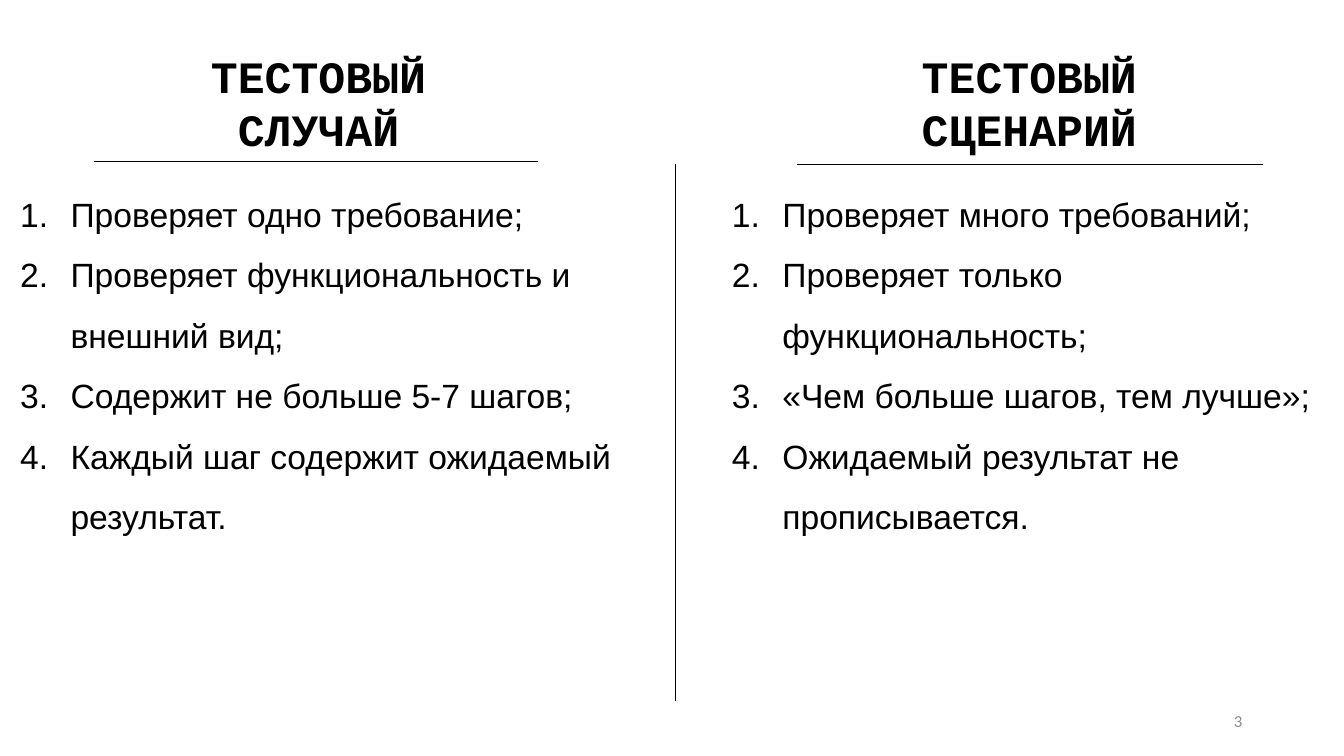
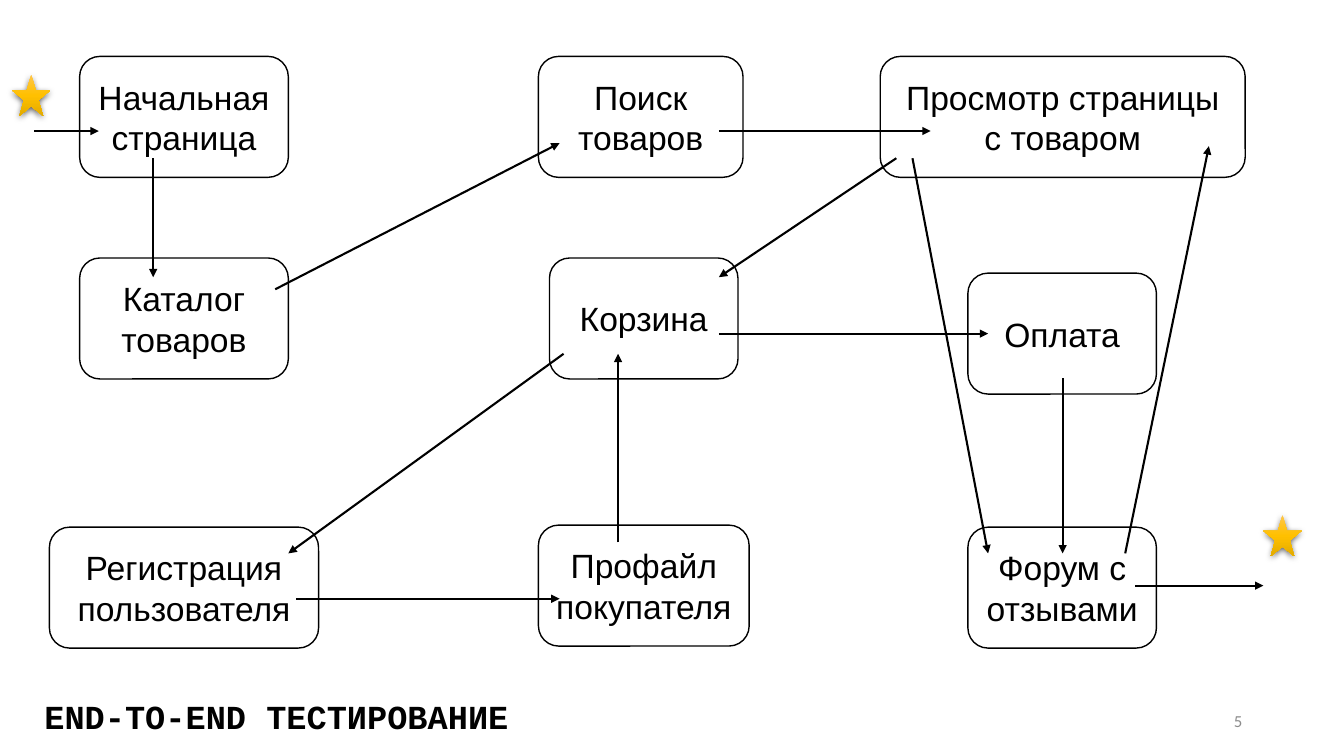
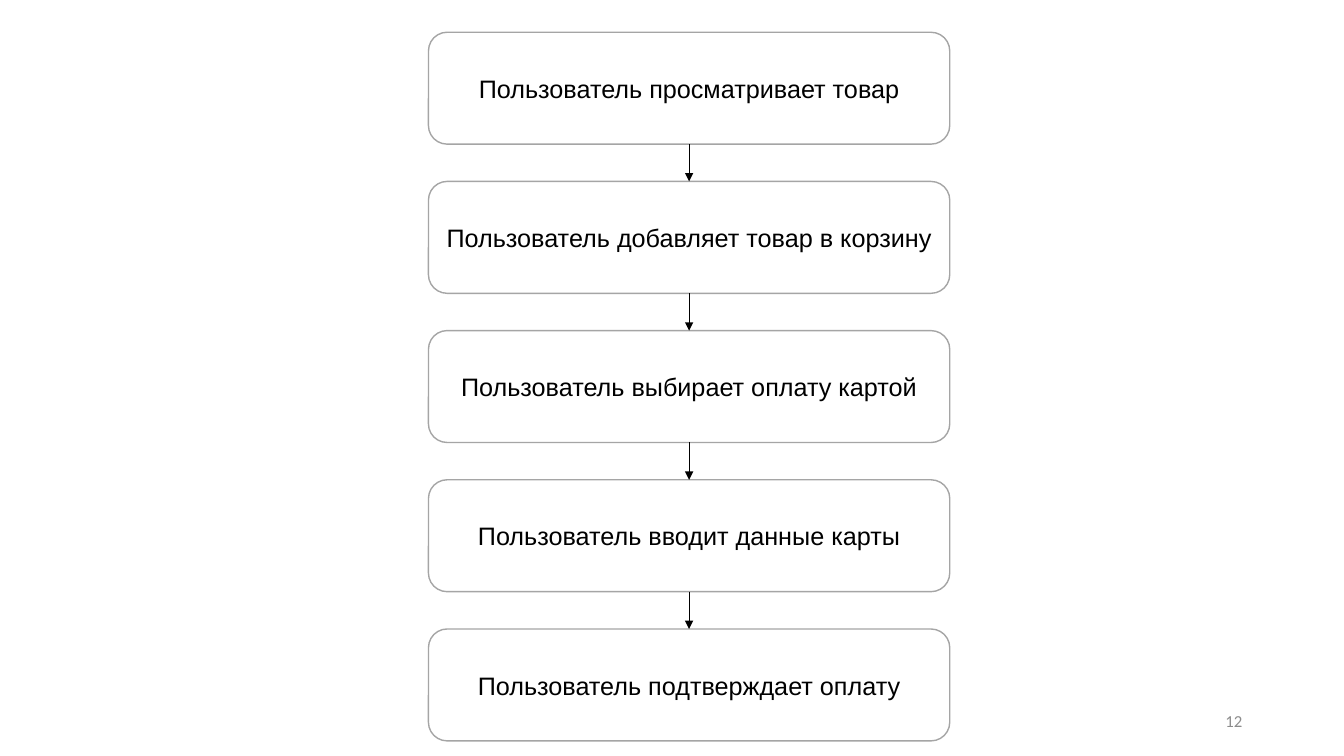
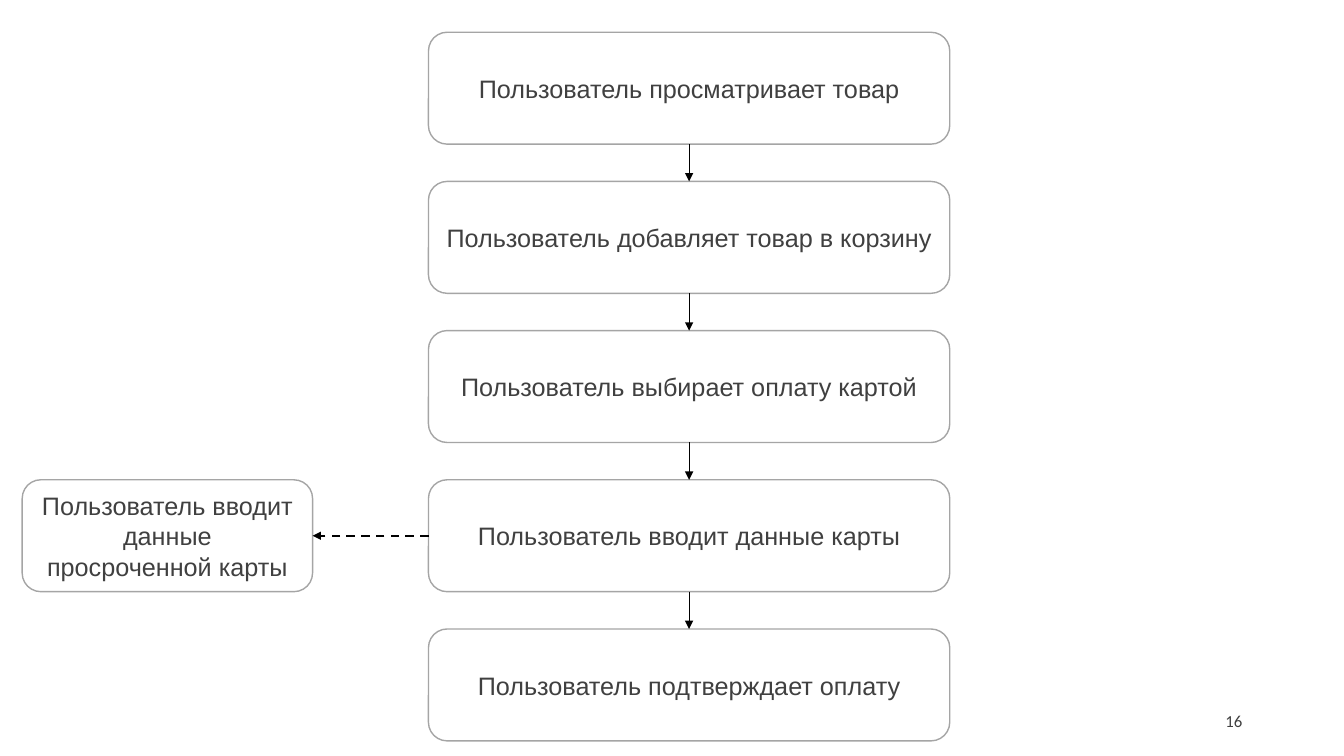
from copy import deepcopy

from lxml.etree import SubElement
from pptx import Presentation
from pptx.dml.color import RGBColor
from pptx.enum.dml import MSO_LINE
from pptx.enum.shapes import MSO_CONNECTOR as Connector, MSO_SHAPE as Shape
from pptx.enum.text import MSO_ANCHOR as Anchor, MSO_AUTO_SIZE as AutoSize, PP_ALIGN as Align
from pptx.oxml.ns import qn
from pptx.util import Inches, Pt

BLACK = RGBColor(0x00, 0x00, 0x00)
WHITE = RGBColor(0xFF, 0xFF, 0xFF)
DARK_GREY = RGBColor(0x40, 0x40, 0x40)
NUMBER_GREY = RGBColor(0x8C, 0x8C, 0x8C)
BORDER_GREY = RGBColor(0xA5, 0xA5, 0xA5)
GOLD_STOPS = (
    (0, RGBColor(0xFF, 0xC6, 0x4B)),
    (0.5, RGBColor(0xFF, 0xC0, 0x00)),
    (1, RGBColor(0xE3, 0xAB, 0x00)),
)

BODY_FONT = "Arial"
TITLE_FONT = "Courier New"
NUMBER_FONT = "Calibri"

COMPARISON, TITLE_ONLY, BLANK = 4, 5, 6
TOP, LEFT, BOTTOM, RIGHT = range(4)

STEP_LEFT, STEP_TOP, STEP_WIDTH, STEP_HEIGHT, STEP_PITCH = 4.25, 0.32, 5.17, 1.11, 1.48
NODE_HEIGHT = 1.2

CASE_TRAITS = (
    "Проверяет одно требование;",
    "Проверяет функциональность и внешний вид;",
    "Содержит не больше 5-7 шагов;",
    "Каждый шаг содержит ожидаемый результат.",
)
SCENARIO_TRAITS = (
    "Проверяет много требований;",
    "Проверяет только функциональность;",
    "«Чем больше шагов, тем лучше»;",
    "Ожидаемый результат не прописывается.",
)
SHOP_NODES = (
    ("Каталог товаров", 0.79, 2.56, 2.07),
    ("Поиск товаров", 5.34, 0.56, 2.03),
    ("Оплата", 9.6, 2.71, 1.87),
    ("Профайл покупателя", 5.34, 5.21, 2.09),
    ("Начальная страница", 0.79, 0.56, 2.07),
    ("Просмотр страницы с товаром", 8.73, 0.56, 3.62),
    ("Корзина", 5.45, 2.56, 1.87),
    ("Регистрация\nпользователя", 0.49, 5.23, 2.67),
    ("Форум с отзывами", 9.6, 5.23, 1.87),
)
SHOP_ARROWS = (
    ((0.34, 1.3), (0.98, 1.3)),
    ((1.52, 1.57), (1.52, 2.75)),
    ((2.73, 2.87), (5.55, 1.42)),
    ((7.13, 1.3), (9.23, 1.3)),
    ((9.05, 1.57), (9.8, 5.49)),
    ((11.16, 5.49), (11.99, 1.45)),
    ((8.89, 1.57), (7.13, 2.75)),
    ((5.59, 3.51), (2.86, 5.49)),
    ((2.94, 5.94), (5.55, 5.94)),
    ((6.13, 5.38), (6.13, 3.51)),
    ((7.13, 3.31), (9.8, 3.31)),
    ((10.54, 3.75), (10.54, 5.49)),
    ((11.26, 5.81), (12.53, 5.81)),
)
PAYMENT_STEPS = (
    "Пользователь просматривает товар",
    "Пользователь добавляет товар в корзину",
    "Пользователь выбирает оплату картой",
    "Пользователь вводит данные карты",
    "Пользователь подтверждает оплату",
)


def add_page(deck, layout):
    """Append a slide that uses the layout with the given index."""
    return deck.slides.add_slide(deck.slide_layouts[layout])


def place(box, left, top, width, height):
    """Move and size a placeholder, in inches."""
    box.left, box.top = Inches(left), Inches(top)
    box.width, box.height = Inches(width), Inches(height)


def style(paragraph, size, color, name=BODY_FONT, bold=False, align=Align.LEFT):
    """Set the font and alignment of one paragraph."""
    paragraph.alignment = align
    font = paragraph.font
    font.size, font.name, font.bold = Pt(size), name, bold
    font.color.rgb = color


def fill_heading(box, text, position, size, align):
    """Write a bold typewriter heading into a placeholder."""
    place(box, *position)
    frame = box.text_frame
    frame.text = text
    frame.word_wrap = False
    frame.auto_size = AutoSize.NONE
    frame.vertical_anchor = Anchor.TOP
    for paragraph in frame.paragraphs:
        paragraph.space_before = Pt(0)
        style(paragraph, size, BLACK, TITLE_FONT, True, align)


def fill_numbered_list(box, items, position):
    """Write a numbered list into a body placeholder."""
    place(box, *position)
    frame = box.text_frame
    frame.text = "\n".join(items)
    frame.auto_size = AutoSize.NONE
    for paragraph in frame.paragraphs:
        paragraph.line_spacing = 1.5
        paragraph.space_before = Pt(0)
        properties = paragraph._p.get_or_add_pPr()
        properties.set("marL", str(Inches(0.5)))
        properties.set("indent", str(Inches(-0.5)))
        SubElement(properties, qn("a:buAutoNum"), type="arabicPeriod")
        style(paragraph, 24, BLACK)


def add_page_number(page, number, color=NUMBER_GREY):
    """Add the page number at the bottom right."""
    box = page.shapes.add_textbox(Inches(9.42), Inches(6.95), Inches(3), Inches(0.4))
    frame = box.text_frame
    frame.word_wrap = True
    frame.vertical_anchor = Anchor.MIDDLE
    frame.text = str(number)
    style(frame.paragraphs[0], 12, color, NUMBER_FONT, align=Align.RIGHT)


def add_node(page, text, position, size, border, color=BLACK):
    """Add a white rounded box with centred text."""
    node = page.shapes.add_shape(Shape.ROUNDED_RECTANGLE, *map(Inches, position))
    node.shadow.inherit = False
    node.fill.solid()
    node.fill.fore_color.rgb = WHITE
    node.line.color.rgb = border
    node.line.width = Pt(1)
    frame = node.text_frame
    frame.text = text
    frame.vertical_anchor = Anchor.MIDDLE
    for paragraph in frame.paragraphs:
        style(paragraph, size, color, align=Align.CENTER)
    return node


def add_line(page, start, end, width=0.5, arrow=False, dash=None):
    """Add a straight black line between two points in inches."""
    line = page.shapes.add_connector(Connector.STRAIGHT, *map(Inches, (*start, *end)))
    line.line.color.rgb = BLACK
    line.line.width = Pt(width)
    if dash:
        line.line.dash_style = dash
    properties = line._element.spPr
    if arrow:
        SubElement(properties.find(qn("a:ln")), qn("a:tailEnd"), type="triangle")
    SubElement(properties, qn("a:effectLst"))
    return line


def join(page, source, source_side, target, target_side, width=0.5, dash=None):
    """Add an arrow joined to the sides of two boxes."""
    arrow = add_line(page, (0, 0), (1, 1), width, True, dash)
    arrow.begin_connect(source, source_side)
    arrow.end_connect(target, target_side)


def add_star(page, left, top):
    """Add a golden star with a soft shadow."""
    star = page.shapes.add_shape(
        Shape.STAR_5_POINT, Inches(left), Inches(top), Inches(0.38), Inches(0.41)
    )
    star.line.fill.background()
    star.fill.gradient()
    star.fill.gradient_angle = 270
    properties = star._element.spPr
    stops = properties.find(qn("a:gradFill")).find(qn("a:gsLst"))
    stops.insert(1, deepcopy(stops[0]))
    for stop, (position, color) in zip(star.fill.gradient_stops, GOLD_STOPS):
        stop.position = position
        stop.color.rgb = color
    star.shadow.inherit = False
    shadow = SubElement(
        properties.find(qn("a:effectLst")), qn("a:outerShdw"),
        blurRad=str(Pt(4.5)), dist=str(Pt(1.5)), dir="5400000", rotWithShape="0",
    )
    shade = SubElement(shadow, qn("a:srgbClr"), val=str(BLACK))
    SubElement(shade, qn("a:alpha"), val="63000")


def add_payment_flow(page, color):
    """Add the column of payment steps and return its boxes."""
    steps = [
        add_node(
            page, text,
            (STEP_LEFT, STEP_TOP + row * STEP_PITCH, STEP_WIDTH, STEP_HEIGHT),
            18, BORDER_GREY, color,
        )
        for row, text in enumerate(PAYMENT_STEPS)
    ]
    for upper, lower in zip(steps, steps[1:]):
        join(page, upper, BOTTOM, lower, TOP)
    return steps


def build_comparison(deck):
    """Build the slide that compares a test case with a test scenario."""
    page = add_page(deck, COMPARISON)
    title, case, case_list, scenario, scenario_list = page.placeholders
    title._element.getparent().remove(title._element)
    fill_heading(case, "ТЕСТОВЫЙ\nСЛУЧАЙ", (1.98, 0.43, 2.36, 1.18), 32, Align.CENTER)
    fill_heading(scenario, "ТЕСТОВЫЙ\nСЦЕНАРИЙ", (9.03, 0.43, 2.36, 1.18), 32, Align.CENTER)
    fill_numbered_list(case_list, CASE_TRAITS, (0.1, 1.67, 6.59, 3.74))
    fill_numbered_list(scenario_list, SCENARIO_TRAITS, (7.16, 1.67, 6.17, 3.74))
    add_line(page, (0.93, 1.6), (5.34, 1.6))
    add_line(page, (7.9, 1.63), (12.53, 1.63))
    add_line(page, (6.7, 1.63), (6.7, 6.95))
    add_page_number(page, 3)


def build_shop_map(deck):
    """Build the end-to-end map of the shop."""
    page = add_page(deck, TITLE_ONLY)
    fill_heading(
        page.shapes.title, "END-TO-END ТЕСТИРОВАНИЕ", (0.34, 6.85, 4.84, 0.5), 24, Align.LEFT
    )
    for text, left, top, width in SHOP_NODES:
        add_node(page, text, (left, top, width, NODE_HEIGHT), 24, BLACK)
    for start, end in SHOP_ARROWS:
        add_line(page, start, end, 1.5, True)
    add_star(page, 0.12, 0.74)
    add_star(page, 12.53, 5.11)
    add_page_number(page, 5)


def build_payment(deck):
    """Build the main payment flow."""
    page = add_page(deck, BLANK)
    add_payment_flow(page, BLACK)
    add_page_number(page, 12)


def build_payment_branch(deck):
    """Build the payment flow with the expired card branch."""
    page = add_page(deck, BLANK)
    card_step = add_payment_flow(page, DARK_GREY)[3]
    expired = add_node(
        page, "Пользователь вводит данные просроченной карты",
        (0.22, STEP_TOP + 3 * STEP_PITCH, 2.88, STEP_HEIGHT), 18, BORDER_GREY, DARK_GREY,
    )
    join(page, card_step, LEFT, expired, RIGHT, 1.5, MSO_LINE.DASH)
    add_page_number(page, 16, DARK_GREY)


def main():
    """Build and save the deck."""
    deck = Presentation()
    deck.slide_width, deck.slide_height = Inches(13.33), Inches(7.5)
    build_comparison(deck)
    build_shop_map(deck)
    build_payment(deck)
    build_payment_branch(deck)
    deck.save("out.pptx")


if __name__ == "__main__":
    main()
